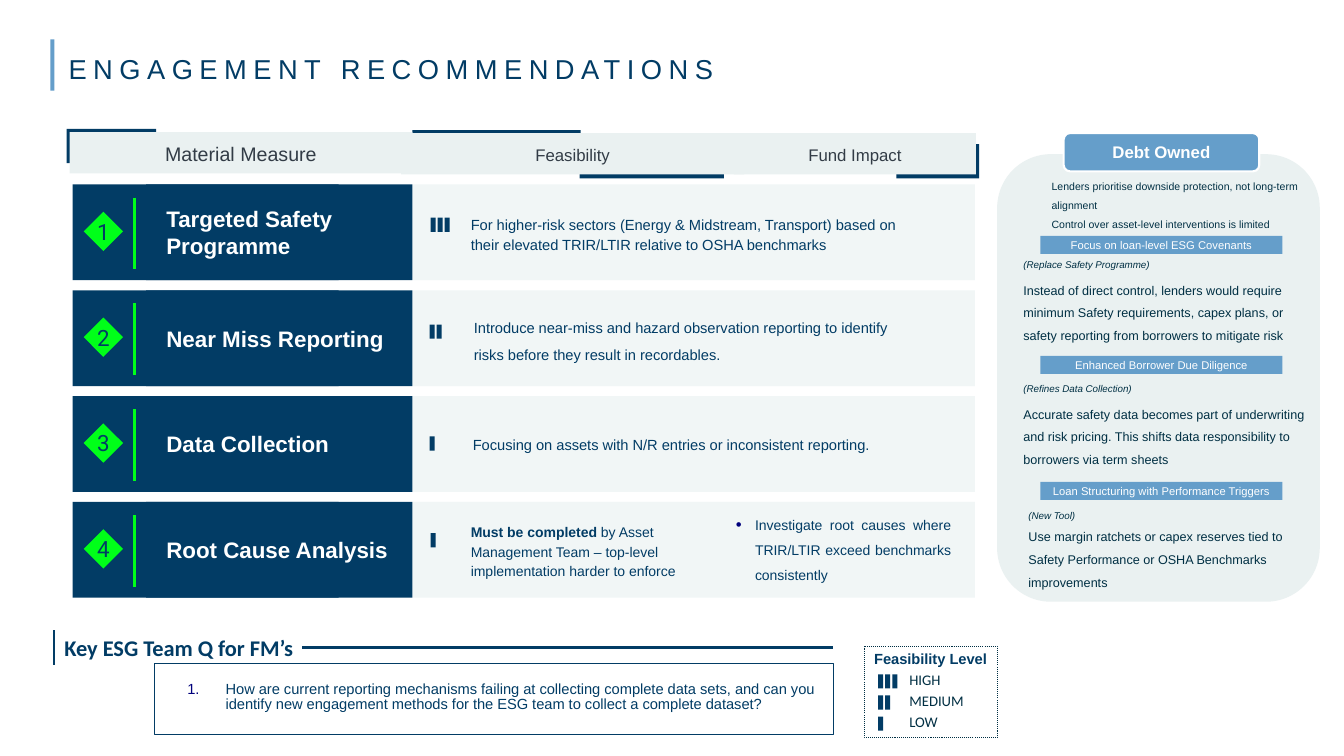
"""Build the engagement recommendations slide."""
from dataclasses import dataclass, field
from typing import Any, NamedTuple, Optional

from lxml.etree import SubElement
from pptx import Presentation
from pptx.dml.color import RGBColor
from pptx.enum.dml import MSO_LINE_DASH_STYLE as Dash
from pptx.enum.shapes import MSO_CONNECTOR, MSO_SHAPE as Preset
from pptx.enum.text import MSO_ANCHOR as Anchor, MSO_AUTO_SIZE, PP_ALIGN as Align
from pptx.oxml.ns import qn
from pptx.util import Inches, Pt


@dataclass(frozen=True)
class Theme:
    navy: str = "023C65"
    ink: str = "002F43"
    grey: str = "323C46"
    blue: str = "659ECA"
    green: str = "00FF19"
    pale: str = "EAF1F1"
    band: str = "EEF5F5"
    bullet: str = "00007C"
    white: str = "FFFFFF"
    title: float = 19.5
    heading: float = 16
    column: float = 14
    subhead: float = 12
    body: float = 10.5
    detail: float = 10
    note: float = 9
    badge: float = 8
    lead: float = 7.5
    caption: float = 7


THEME = Theme()


class Box(NamedTuple):
    left: float
    top: float
    width: float
    height: float


class Run(NamedTuple):
    text: str
    size: float
    color: str
    font: dict[str, Any] = {}


@dataclass
class Text:
    runs: list[Run]
    layout: dict[str, Any] = field(default_factory=dict)
    bullet: Optional[tuple[str, dict[str, str]]] = None
    indent: float = 0


class Measure(NamedTuple):
    name: str
    bars: int
    bars_left: float
    bars_top: float
    details: list[tuple[Box, Text, dict[str, Any]]]


class Covenant(NamedTuple):
    heading: str
    badge_top: float
    caption: str
    body: str
    box: Box
    gap: float


BOLD = {"bold": True}
CENTER = {"alignment": Align.CENTER}
ROOMY = {"line_spacing": 1.5}
EXACT = {"line_spacing": Pt(13.8)}
MIDDLE = {"vertical_anchor": Anchor.MIDDLE}
NOTE_FRAME = MIDDLE | {"margin_left": Inches(0.26), "margin_top": Inches(0.07),
                       "margin_right": Inches(0.13), "margin_bottom": Inches(0.07)}
LABEL_FRAME = MIDDLE | {"margin_left": Inches(0.2), "margin_right": Inches(0.2)}
TIGHT = {f"margin_{side}": 0 for side in ("left", "top", "right", "bottom")}


def navy_run(text: str, size: float = THEME.body, **font: Any) -> Run:
    return Run(text, size, THEME.navy, font)


MEASURES = [
    Measure("Targeted Safety Programme", 3, 4.27, 2.16, [(Box(4.41, 1.85, 4.83, 0.94), Text([navy_run(
        "For higher-risk sectors (Energy & Midstream, Transport) based on their elevated TRIR/LTIR "
        "relative to OSHA benchmarks")], EXACT), NOTE_FRAME)]),
    Measure("Near Miss Reporting", 2, 4.26, 3.22, [(Box(4.44, 2.87, 4.83, 0.94), Text([navy_run(
        "Introduce near-miss and hazard observation reporting to identify risks before they result "
        "in recordables.")], ROOMY), NOTE_FRAME)]),
    Measure("Data Collection", 1, 4.26, 4.33, [(Box(4.43, 3.9, 5.09, 0.94), Text([navy_run(
        "Focusing on assets with N/R entries or inconsistent reporting.")], ROOMY), NOTE_FRAME)]),
    Measure("Root Cause Analysis", 1, 4.27, 5.29, [
        (Box(4.41, 4.99, 2.83, 0.94), Text([
            navy_run("Must be completed ", THEME.detail, bold=True),
            navy_run("by Asset Management Team – top-level implementation harder to enforce",
                     THEME.detail)], EXACT), NOTE_FRAME),
        (Box(7.2, 4.99, 2.33, 0.83), Text([navy_run(
            "Investigate root causes where TRIR/LTIR exceed benchmarks consistently", THEME.detail)],
            ROOMY | {"alignment": Align.JUSTIFY}, ("a:buChar", {"char": "•"}), 0.19), {})]),
]
COVENANTS = [
    Covenant("Focus on loan-level ESG Covenants", 2.34, "(Replace Safety Programme)",
             "Instead of direct control, lenders would require minimum Safety requirements, capex plans, "
             "or safety reporting from borrowers to mitigate risk", Box(9.89, 2.57, 3.09, 0.77), 3.5),
    Covenant("Enhanced Borrower Due Diligence", 3.53, "(Refines Data Collection)",
             "Accurate safety data becomes part of underwriting and risk pricing. This shifts data "
             "responsibility to borrowers via term sheets", Box(9.89, 3.8, 3.35, 0.77), 3.5),
    Covenant("Loan Structuring with Performance Triggers", 4.78, "(New Tool)",
             "Use margin ratchets or capex reserves tied to Safety Performance or OSHA Benchmarks "
             "improvements", Box(9.94, 5.04, 3.09, 0.77), 0),
]
LEVELS = ["HIGH", "MEDIUM", "LOW"]


def apply(target: Any, values: dict[str, Any]) -> None:
    for name, value in values.items():
        setattr(target, name, value)


def write(shape: Any, texts: list[Text], frame_format: dict[str, Any]) -> None:
    frame = shape.text_frame
    apply(frame, {"word_wrap": True, "auto_size": MSO_AUTO_SIZE.NONE} | frame_format)
    for index, text in enumerate(texts):
        paragraph = frame.add_paragraph() if index else frame.paragraphs[0]
        if text.bullet:
            properties = paragraph._p.get_or_add_pPr()
            properties.set("marL", str(Inches(text.indent)))
            properties.set("indent", str(-Inches(text.indent)))
            SubElement(SubElement(properties, qn("a:buClr")), qn("a:srgbClr"), val=THEME.bullet)
            if text.bullet[0] == "a:buChar":
                SubElement(properties, qn("a:buSzPct"), val="120000")
            SubElement(properties, qn("a:buFont"), typeface="Arial")
            SubElement(properties, qn(text.bullet[0]), text.bullet[1])
        apply(paragraph, {"alignment": Align.LEFT} | text.layout)
        for item in text.runs:
            run = paragraph.add_run()
            run.text = item.text
            apply(run.font, {"name": "Arial", "size": Pt(item.size)} | item.font)
            run.font.color.rgb = RGBColor.from_string(item.color)


def add_text(slide: Any, box: Box, texts: list[Text], frame_format: dict[str, Any] = {}) -> None:
    write(slide.shapes.add_textbox(*map(Inches, box)), texts, frame_format)


def add_box(slide: Any, box: Box, fill: Optional[str], preset: Any = Preset.RECTANGLE,
            line: Optional[str] = None, weight: float = 0.75) -> Any:
    shape = slide.shapes.add_shape(preset, *map(Inches, box))
    shape.shadow.inherit = False
    if fill:
        shape.fill.solid()
        shape.fill.fore_color.rgb = RGBColor.from_string(fill)
    else:
        shape.fill.background()
    if line:
        shape.line.color.rgb = RGBColor.from_string(line)
        shape.line.width = Pt(weight)
    else:
        shape.line.fill.background()
    return shape


def add_line(slide: Any, start: tuple[float, float], end: tuple[float, float], color: str, weight: float) -> None:
    line = slide.shapes.add_connector(MSO_CONNECTOR.STRAIGHT, *map(Inches, start + end))
    line.line.color.rgb = RGBColor.from_string(color)
    line.line.width = Pt(weight)
    SubElement(line._element.spPr, qn("a:effectLst"))


def add_bars(slide: Any, left: float, top: float, count: int) -> None:
    for index in range(count):
        add_box(slide, Box(left + 0.07 * index, top, 0.05, 0.14), THEME.navy)


def add_title(slide: Any) -> None:
    title = slide.shapes.title
    apply(title, dict(zip(Box._fields, map(Inches, (0.68, 0.55, 11.76, 0.24)))))
    write(title, [Text([navy_run("ENGAGEMENT RECOMMENDATIONS", THEME.title)], {"line_spacing": 0.9})],
          TIGHT | {"vertical_anchor": Anchor.TOP})
    title.text_frame.paragraphs[0].runs[0]._r.get_or_add_rPr().set("spc", "460")
    add_box(slide, Box(0.5, 0.39, 0.04, 0.51), THEME.blue)


def add_header(slide: Any) -> None:
    for corner in (Box(5.75, 1.43, 1.43, 0.34), Box(8.89, 1.43, 0.82, 0.34),
                   Box(0.66, 1.28, 0.89, 0.34), Box(4.09, 1.29, 1.67, 0.34)):
        add_box(slide, corner, THEME.navy)
    for name, box, size in (("Material Measure", Box(0.69, 1.31, 3.4, 0.41), THEME.column),
                            ("Fund Impact", Box(7.28, 1.32, 2.4, 0.41), THEME.subhead),
                            ("Feasibility", Box(3.98, 1.32, 3.4, 0.41), THEME.subhead)):
        write(add_box(slide, box, THEME.pale),
              [Text([Run(name, size, THEME.grey)], CENTER | {"line_spacing": 1.07})], MIDDLE)


def add_measure(slide: Any, index: int, measure: Measure) -> None:
    top, height = 1.83 + 1.05 * index, 0.95
    band = add_box(slide, Box(4.09, top, 5.58, height), THEME.band)
    SubElement(band.fill._xPr.find(qn("a:solidFill"))[0], qn("a:alpha"), val="82000")
    add_box(slide, Box(0.72, top, 2.64, height), THEME.navy)
    write(add_box(slide, Box(1.45, top, 2.64, height), THEME.navy),
          [Text([Run(measure.name, THEME.heading, THEME.white, BOLD)])], LABEL_FRAME)
    add_line(slide, (1.33, top + 0.13), (1.33, top + 0.84), THEME.green, 2.25)
    write(add_box(slide, Box(0.83, top + 0.27, 0.39, 0.39), THEME.green, Preset.DIAMOND),
          [Text([navy_run(str(index + 1), THEME.heading, name="Roboto")], CENTER)],
          MIDDLE | TIGHT | {"word_wrap": False})
    add_bars(slide, measure.bars_left, measure.bars_top, measure.bars)
    for box, text, frame_format in measure.details:
        add_text(slide, box, [text], frame_format)


def add_debt_panel(slide: Any) -> None:
    add_box(slide, Box(9.89, 1.53, 3.2, 4.44), THEME.pale, Preset.ROUNDED_RECTANGLE)
    write(add_box(slide, Box(10.55, 1.32, 1.94, 0.38), THEME.blue, Preset.ROUNDED_RECTANGLE, THEME.white, 1.5),
          [Text([Run("Debt Owned", THEME.subhead, THEME.white, BOLD)], CENTER)], MIDDLE)
    add_text(slide, Box(10.17, 1.83, 2.87, 0.35), [
        Text([Run(line, THEME.lead, THEME.ink)], ROOMY)
        for line in ("Lenders prioritise downside protection, not long-term alignment",
                     "Control over asset-level interventions is limited")], NOTE_FRAME)
    for covenant in COVENANTS:
        write(add_box(slide, Box(10.32, covenant.badge_top, 2.4, 0.18), THEME.blue),
              [Text([Run(covenant.heading, THEME.badge, THEME.white)], CENTER)], MIDDLE)
        add_text(slide, covenant.box, [
            Text([Run(covenant.caption, THEME.caption, THEME.ink, {"italic": True})], ROOMY),
            Text([Run(covenant.body, THEME.note, THEME.ink)], ROOMY | {"space_before": Pt(covenant.gap)})],
            NOTE_FRAME)


def add_question(slide: Any) -> None:
    add_line(slide, (3, 6.42), (8.26, 6.42), THEME.navy, 2.25)
    add_line(slide, (0.54, 6.25), (0.54, 6.6), THEME.navy, 1.5)
    add_text(slide, Box(0.54, 6.24, 5.36, 0.37),
             [Text([navy_run("Key ESG Team Q for FM’s", THEME.heading, name="Calibri", bold=True)])])
    add_box(slide, Box(1.53, 6.58, 6.74, 0.71), None, line=THEME.navy)
    add_text(slide, Box(1.76, 6.71, 6.46, 0.71), [Text([navy_run(
        "How are current reporting mechanisms failing at collecting complete data sets, and can you identify "
        "new engagement methods for the ESG team to collect a complete dataset?")],
        {"line_spacing": 0.9}, ("a:buAutoNum", {"type": "arabicPeriod"}), 0.38)])


def add_legend(slide: Any) -> None:
    add_box(slide, Box(8.57, 6.41, 1.32, 0.91), None, line=THEME.ink).line.dash_style = Dash.ROUND_DOT
    add_text(slide, Box(8.53, 6.45, 1.4, 0.2), [Text([navy_run("Feasibility Level", bold=True)], CENTER)], TIGHT)
    for index in range(len(LEVELS)):
        add_bars(slide, 8.71, 6.69 + 0.21 * index, len(LEVELS) - index)
    add_text(slide, Box(9.02, 6.66, 0.6, 0.6), [
        Text([Run(level, THEME.body, THEME.ink, {"name": "Calibri"})], {"space_before": Pt(2.4 if index else 0)})
        for index, level in enumerate(LEVELS)], TIGHT | {"word_wrap": False})


def main() -> None:
    presentation = Presentation()
    apply(presentation, {"slide_width": Inches(13.33), "slide_height": Inches(7.5)})
    slide = presentation.slides.add_slide(presentation.slide_layouts[5])
    add_title(slide)
    add_header(slide)
    for index, measure in enumerate(MEASURES):
        add_measure(slide, index, measure)
    add_debt_panel(slide)
    add_question(slide)
    add_legend(slide)
    presentation.save("out.pptx")


if __name__ == "__main__":
    main()
